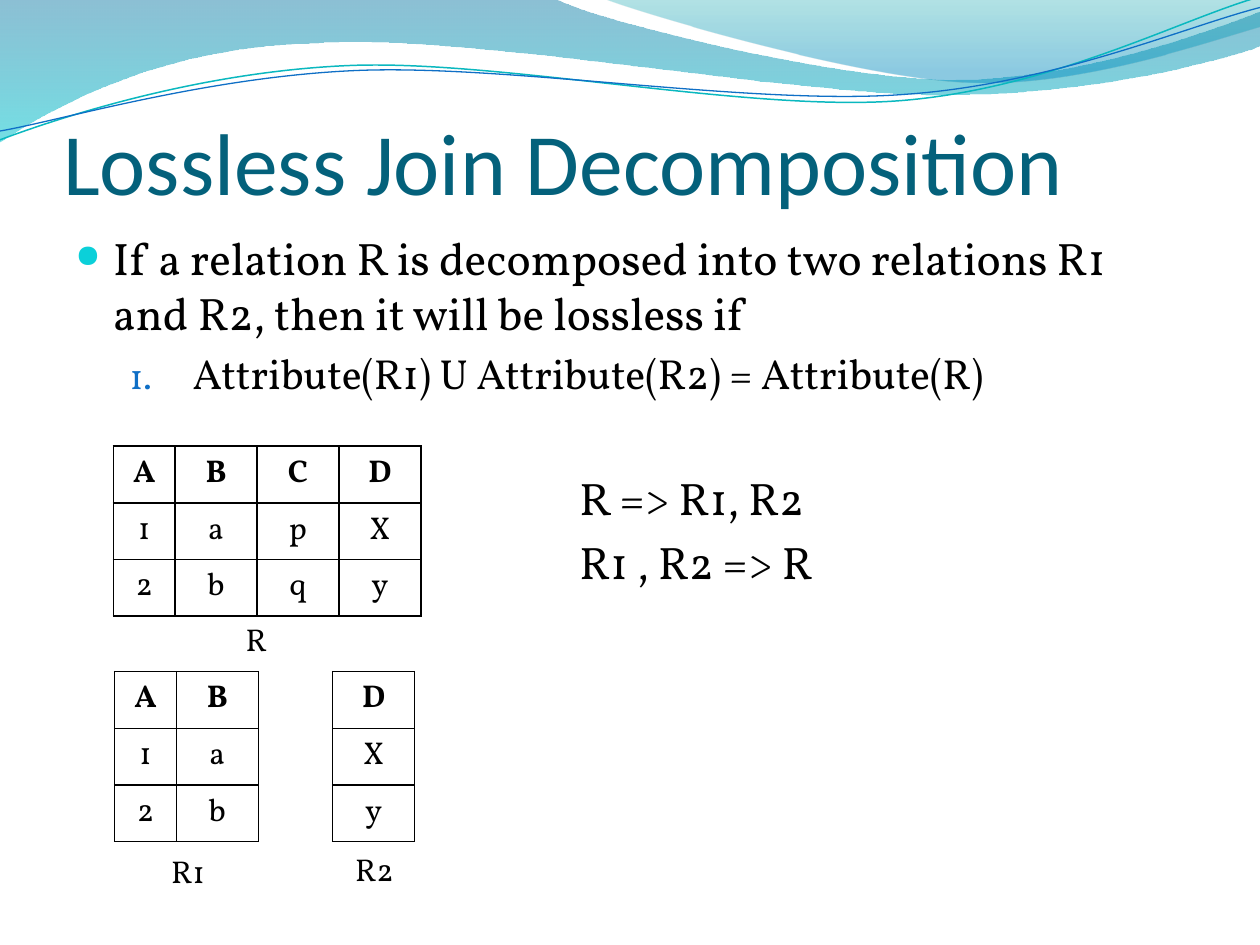
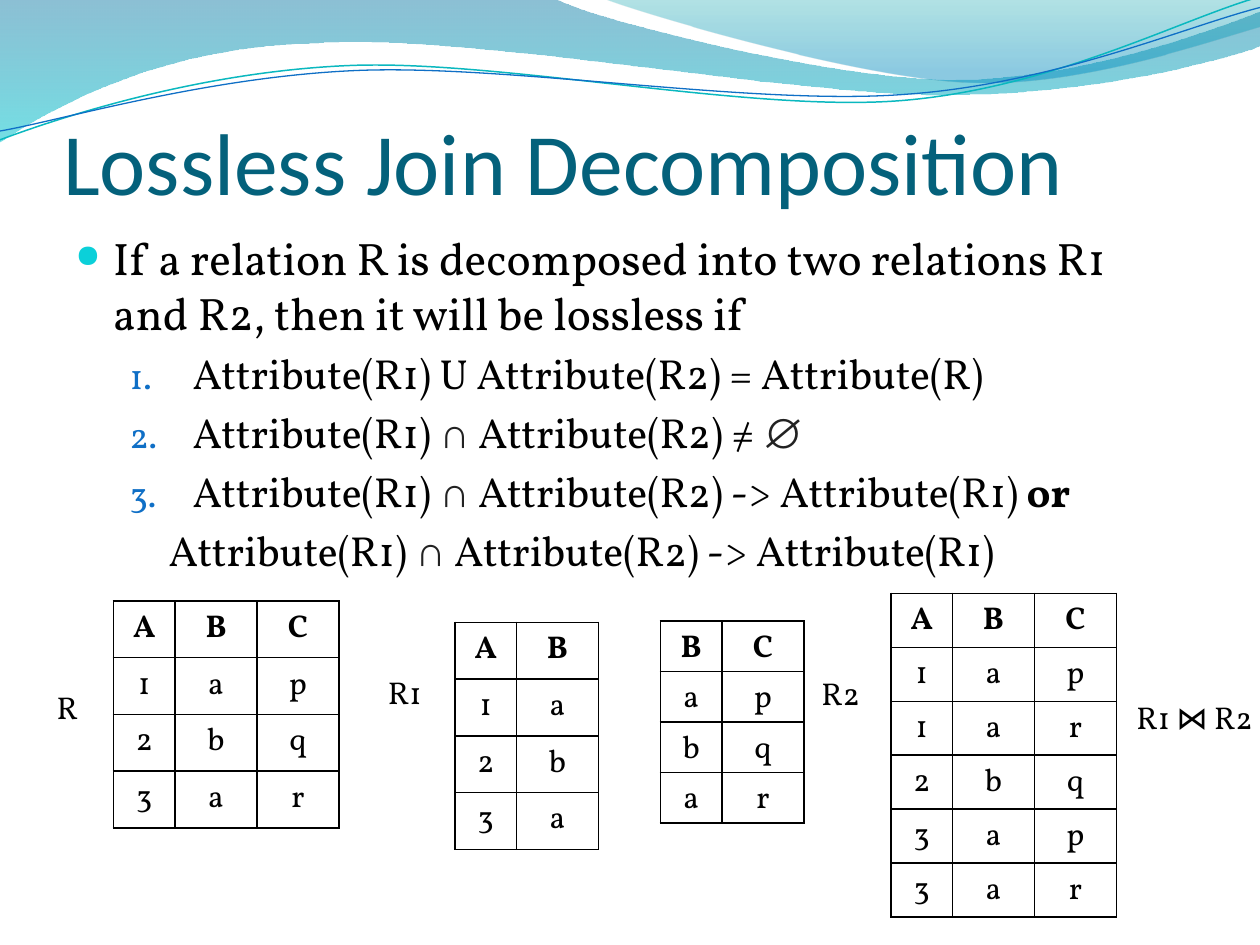
from dataclasses import dataclass
from math import cos, radians, sin
from lxml.etree import SubElement
from pptx import Presentation
from pptx.dml.color import RGBColor
from pptx.enum.text import MSO_ANCHOR, MSO_AUTO_SIZE, PP_ALIGN
from pptx.oxml.ns import qn
from pptx.util import Inches, Pt


@dataclass(frozen=True)
class Theme:
    title: str = "04617B"
    ink: str = "000000"
    sign: str = "222222"
    dot: str = "0BD0D9"
    num: str = "0F6FC6"
    teal: str = "0AB8BF"
    head: str = "Calibri"
    serif: str = "Vollkorn"
    sans: str = "Arial"
    big: int = 50
    lead: int = 26
    item: int = 24
    small: int = 18


THEME = Theme()
TILT = 2.7
BANDS = [
    ([(0, 0), (4.4, -0.01),
      (4.76, 0.17, 6.64, 0.63, 7.58, 0.63), (8.53, 0.63, 9.58, 0.26, 10, 0.09),
      (10.01, 0.36),
      (9.83, 0.44, 8.7, 0.76, 7.46, 0.75), (6.22, 0.75, 3.82, 0.28, 2.57, 0.34),
      (1.29, 0.36, 0.46, 0.83, -0.01, 1.13), (0, 0)],
     [(0, "0074A1", 45), (1, "00C6CF", 55)]),
    ([(4.79, -0.01),
      (5.09, 0.11, 6.82, 0.62, 7.69, 0.65), (8.56, 0.69, 9.61, 0.32, 10, 0.21),
      (10, 0), (4.79, -0.01)],
     [(0, "00A1A9", 30), (0.8, "008BBF", 45)]),
]
LINES = [
    ([(0, 1.11),
      (0.48, 0.93, 1.58, 0.57, 2.77, 0.52), (3.95, 0.47, 5.93, 0.89, 7.13, 0.8),
      (8.33, 0.71, 9.38, 0.15, 9.98, -0.02)], (4.99, 0.57), THEME.teal, 0.85),
    ([(0, 1.04),
      (0.47, 0.96, 1.64, 0.61, 2.83, 0.56), (4.03, 0.51, 5.97, 0.84, 7.17, 0.75),
      (8.36, 0.67, 9.41, 0.21, 10, 0.06)], (5, 0.59), THEME.num, 0.75),
]


def turn(part, center):
    c, s = cos(radians(TILT)), sin(radians(TILT))
    result = []
    for x, y in zip(part[::2], part[1::2]):
        x, y = x - center[0], y - center[1]
        result += [center[0] + x * c - y * s, center[1] + x * s + y * c]
    return result


class Deck:
    def __init__(self, theme):
        self.theme = theme
        self.file = Presentation()
        self.file.slide_width, self.file.slide_height = Inches(10), Inches(7.5)
        self.layout = self.file.slide_layouts[5]
        self.slide = None

    def page(self, title):
        first = self.slide is None
        self.slide = self.file.slides.add_slide(self.layout)
        if first:
            self.waves()
        box = self.slide.shapes.title
        box.left, box.top, box.width, box.height = map(Inches, (0.5, 0.44, 9, 1.25))
        frame = box.text_frame
        frame.text = title
        frame.auto_size = MSO_AUTO_SIZE.NONE
        frame.vertical_anchor = MSO_ANCHOR.BOTTOM
        frame.margin_left = frame.margin_right = frame.margin_bottom = 0
        frame.margin_top = Inches(0.05)
        para = frame.paragraphs[0]
        para.alignment = PP_ALIGN.LEFT
        self.style(para.runs[0], self.theme.big, self.theme.head, self.theme.title)

    def style(self, run, size, face=None, color=None, bold=False):
        font = run.font
        font.size, font.bold = Pt(size), bold
        font.name = face or self.theme.serif
        font.color.rgb = RGBColor.from_string(color or self.theme.ink)

    def curve(self, parts, close):
        points = [(Inches(x), Inches(y)) for part in parts
                  for x, y in zip(part[::2], part[1::2])]
        pen = self.slide.shapes.build_freeform(*points[0])
        pen.add_line_segments(points[1:], close=close)
        shape = pen.convert_to_shape()
        shape.shadow.inherit = False
        legs = iter(list(shape.element.iter(qn("a:lnTo"))))
        for part in parts[1:]:
            leg = next(legs)
            if len(part) == 6:
                leg.addprevious(bend := leg.makeelement(qn("a:cubicBezTo")))
                for piece in (leg, next(legs), next(legs)):
                    bend.append(piece[0])
                    piece.getparent().remove(piece)
        return shape

    def waves(self):
        shapes = []
        for parts, stops in BANDS:
            shape = self.curve(parts, True)
            shape.line.fill.background()
            shape.fill.gradient()
            shape.fill.gradient_angle = 270
            for stop, (place, color, _) in zip(shape.fill.gradient_stops, stops):
                stop.position = place
                stop.color.rgb = RGBColor.from_string(color)
            for node, stop in zip(shape.element.iter(qn("a:srgbClr")), stops):
                SubElement(node, qn("a:alpha"), val=str(stop[2] * 1000))
            shapes.append(shape)
        for parts, center, color, width in LINES:
            shape = self.curve([turn(part, center) for part in parts], False)
            shape.rotation = 360 - TILT
            shape.fill.background()
            shape.line.color.rgb = RGBColor.from_string(color)
            shape.line.width = Pt(width)
            shapes.append(shape)
        tree = self.layout.shapes.element
        for index, shape in enumerate(shapes):
            shape.element.nvSpPr.cNvPr.id = 20 + index
            tree.insert(2 + index, shape.element)

    def text(self, left, top, width, height):
        box = self.slide.shapes.add_textbox(*map(Inches, (left, top, width, height)))
        box.text_frame.word_wrap = True
        return box.text_frame

    def label(self, left, top, words, width=0.79):
        frame = self.text(left, top, width, 0.4)
        frame.margin_right = 0
        frame.text = words
        self.style(frame.paragraphs[0].runs[0], self.theme.small)

    def mark(self, para, left, hang, color, scale, tag, **attrs):
        props = para._p.get_or_add_pPr()
        props.set("marL", str(Inches(left)))
        props.set("indent", str(Inches(-hang)))
        if tag:
            SubElement(SubElement(props, qn("a:buClr")), qn("a:srgbClr"), val=color)
            SubElement(props, qn("a:buSzPct"), val=str(scale * 1000))
            SubElement(props, qn(tag), **attrs)

    def body(self, rows):
        theme = self.theme
        frame = self.text(0.5, 1.78, 9, 4.8)
        for index, (kind, pieces, *gap) in enumerate(rows):
            para = frame.paragraphs[0] if index == 0 else frame.add_paragraph()
            size = theme.lead if kind in ("lead", "side") else theme.item
            if index:
                para.space_before = Pt(gap[0] if gap else size / 5)
            if kind == "lead":
                self.mark(para, 0.3, 0.3, theme.dot, 70, "a:buChar", char="●")
            elif kind == "item":
                self.mark(para, 0.93, 0.5, theme.num, 85, "a:buAutoNum",
                          type="arabicPeriod")
            else:
                self.mark(para, 4 if kind == "side" else 0.74, 0, None, 0, None)
            for piece in pieces:
                run = para.add_run()
                run.text = piece
                if piece in ("∩", "∅"):
                    self.style(run, size, theme.sans, theme.sign)
                else:
                    self.style(run, size, bold=piece == "or")

    def table(self, left, top, rows, high=0.45):
        data = [row.split() for row in rows]
        count = len(data[0])
        widths = [0.49] + [0.65] * (count - 1) if count > 1 else [0.65]
        grid = self.slide.shapes.add_table(
            len(data), count, Inches(left), Inches(top),
            Inches(sum(widths)), Inches(high * len(data))).table
        grid.first_row = grid.horz_banding = False
        for col, width in zip(grid.columns, widths):
            col.width = Inches(width)
        for r, row in enumerate(data):
            grid.rows[r].height = Inches(high)
            for c, word in enumerate(row):
                cell = grid.cell(r, c)
                cell.text = word
                cell.fill.background()
                para = cell.text_frame.paragraphs[0]
                para.alignment = PP_ALIGN.CENTER
                self.style(para.runs[0], self.theme.small, bold=r == 0)
                self.border(cell)

    def border(self, cell):
        props = cell._tc.get_or_add_tcPr()
        for index, side in enumerate("LRTB"):
            line = SubElement(props, qn("a:ln" + side), w=str(Pt(1)))
            fill = SubElement(line, qn("a:solidFill"))
            SubElement(fill, qn("a:srgbClr"), val=self.theme.ink)
            props.insert(index, line)


TITLE = "Lossless Join Decomposition"
INTRO = [
    ("lead", ["If a relation R is decomposed into two relations R1 and R2, "
              "then it will be lossless if"]),
    ("item", ["Attribute(R1) U Attribute(R2) = Attribute(R)"]),
]


def main():
    deck = Deck(THEME)

    deck.page(TITLE)
    deck.body(INTRO + [("side", ["R => R1, R2"], 41), ("side", ["R1 , R2 => R"])])
    deck.table(0.9, 3.54, ["A B C D", "1 a p X", "2 b q y"])
    deck.table(0.91, 5.33, ["A B", "1 a", "2 b"])
    deck.table(2.64, 5.33, ["D", "X", "y"])
    deck.label(1.85, 4.87, "R")
    deck.label(1.26, 6.71, "R1")
    deck.label(2.72, 6.7, "R2")

    deck.page(TITLE)
    left, right = "Attribute(R1) ", " Attribute(R2) -> Attribute(R1)"
    deck.body(INTRO + [
        ("item", [left, "∩", " Attribute(R2) ≠ ", "∅"]),
        ("item", [left, "∩", right + " ", "or"]),
        ("plain", [left, "∩", right]),
    ])
    deck.table(0.9, 4.77, ["A B C", "1 a p", "2 b q", "3 a r"])
    deck.table(3.61, 4.94, ["A B", "1 a", "2 b", "3 a"])
    deck.label(0.35, 5.41, "R")
    deck.label(2.98, 5.29, "R1")
    deck.label(6.42, 5.3, "R2")
    deck.table(5.24, 4.93, ["B C", "a p", "b q", "a r"], 0.4)
    deck.table(7.07, 4.71, ["A B C", "1 a p", "1 a r", "2 b q", "3 a p", "3 a r"],
               2.57 / 6)
    deck.label(8.92, 5.49, "R1 ⋈ R2", 1.08)

    deck.file.save("out.pptx")


if __name__ == "__main__":
    main()
